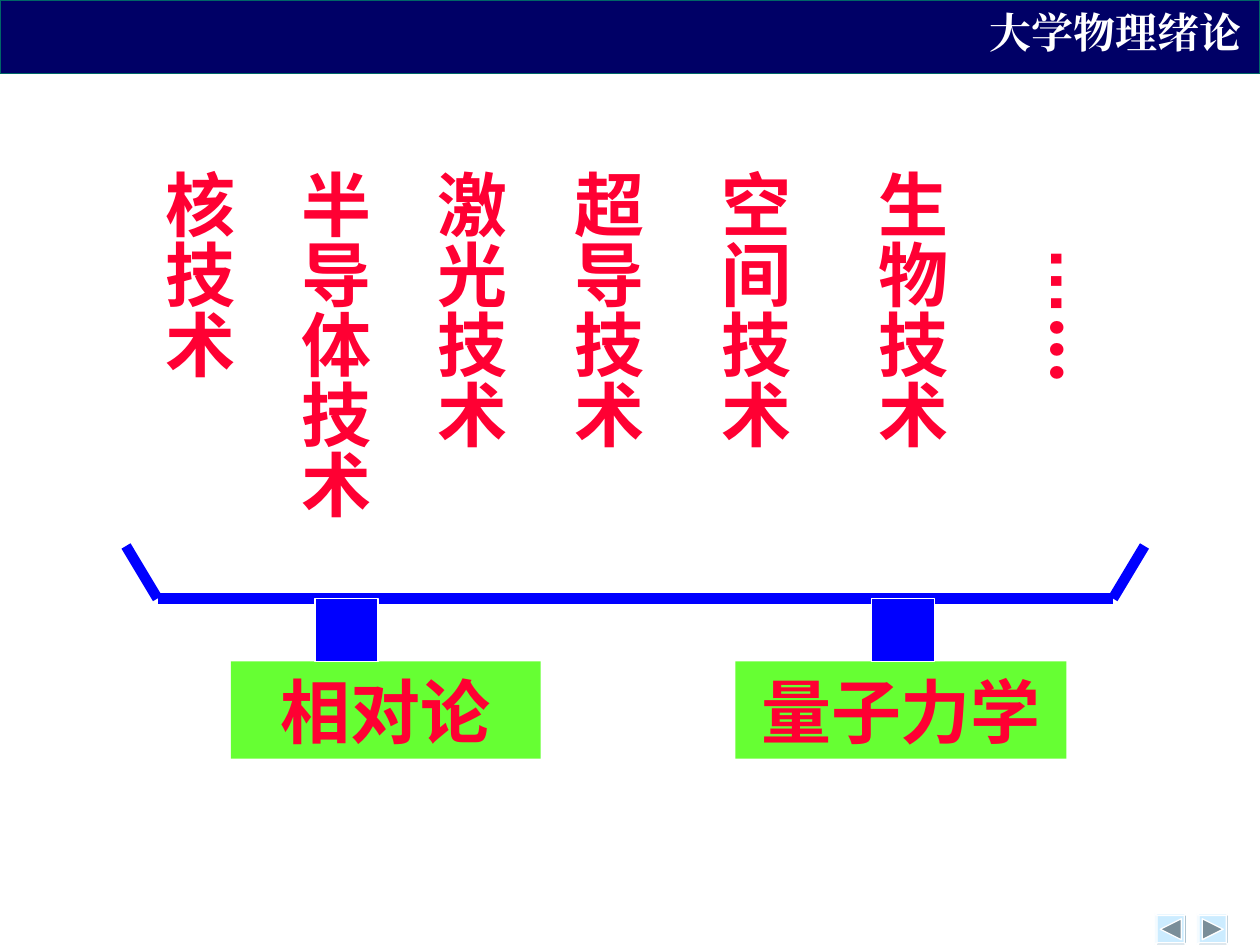
from lxml import etree
from pptx import Presentation
from pptx.dml.color import RGBColor
from pptx.enum.shapes import MSO_CONNECTOR, MSO_SHAPE
from pptx.enum.text import MSO_ANCHOR, MSO_AUTO_SIZE, PP_ALIGN
from pptx.oxml.ns import qn
from pptx.util import Pt

RECTANGLE = MSO_SHAPE.RECTANGLE
STRAIGHT = MSO_CONNECTOR.STRAIGHT
CENTER = PP_ALIGN.CENTER
LEFT = PP_ALIGN.LEFT
MIDDLE = MSO_ANCHOR.MIDDLE
FIT_SHAPE = MSO_AUTO_SIZE.SHAPE_TO_FIT_TEXT

NAVY = RGBColor(0x00, 0x00, 0x66)
TEAL = RGBColor(0x00, 0x66, 0x66)
WHITE = RGBColor(0xFF, 0xFF, 0xFF)
BLUE = RGBColor(0x00, 0x00, 0xFF)
GREEN = RGBColor(0x66, 0xFF, 0x33)
RED = RGBColor(0xFF, 0x00, 0x33)
PALE_BLUE = RGBColor(0xCC, 0xEC, 0xFF)
LIGHT_EDGE = RGBColor(0xE0, 0xF4, 0xFF)
DARK_EDGE = RGBColor(0xA3, 0xBD, 0xCC)
ARROW_GRAY = RGBColor(0x7A, 0x8E, 0x99)

CHINESE_FONT = "Noto Sans CJK SC"
BEAM_Y = 342


class SlideBuilder:
    def __init__(self, slide):
        self.slide = slide
        self.shapes = slide.shapes

    def paint(self, shape, fill, line=None, width=0.75):
        shape.shadow.inherit = False
        shape.fill.solid()
        shape.fill.fore_color.rgb = fill
        if line is None:
            shape.line.fill.background()
        else:
            shape.line.color.rgb = line
            shape.line.width = Pt(width)

    def style(self, font, size, color, name):
        """Set the font for both Latin and East Asian characters."""
        font.size = Pt(size)
        font.bold = True
        font.color.rgb = color
        font.name = name
        latin = font._element.find(qn("a:latin"))
        east_asian = etree.Element(qn("a:ea"), typeface=name)
        latin.addnext(east_asian)

    def rectangle(self, left, top, width, height, fill, line=None, line_width=0.75):
        shape = self.shapes.add_shape(
            RECTANGLE, Pt(left), Pt(top), Pt(width), Pt(height))
        self.paint(shape, fill, line, line_width)
        return shape

    def label(self, left, width, text):
        frame = self.rectangle(left, 378, width, 55.5, GREEN).text_frame
        frame.vertical_anchor = MIDDLE
        paragraph = frame.paragraphs[0]
        paragraph.text = text
        paragraph.alignment = CENTER
        self.style(paragraph.font, 40, RED, CHINESE_FONT)

    def heading(self, left, top, width, height, text):
        frame = self.shapes.add_textbox(
            Pt(left), Pt(top), Pt(width), Pt(height)).text_frame
        frame.word_wrap = True
        paragraph = frame.paragraphs[0]
        paragraph.text = text
        paragraph.alignment = LEFT
        self.style(paragraph.font, 24, WHITE, "Times New Roman")

    def vertical_text(self, left, top, height, runs):
        """Add a top-to-bottom column from (text, font name) pairs."""
        frame = self.shapes.add_textbox(
            Pt(left), Pt(top), Pt(62), Pt(height)).text_frame
        frame.margin_left = frame.margin_right = Pt(3.6)
        frame.margin_top = frame.margin_bottom = Pt(7.2)
        frame.word_wrap = False
        frame.auto_size = FIT_SHAPE
        frame._txBody.bodyPr.set("vert", "eaVert")
        paragraph = frame.paragraphs[0]
        paragraph.alignment = CENTER
        for text, font_name in runs:
            run = paragraph.add_run()
            run.text = text
            self.style(run.font, 40, RED, font_name)

    def line(self, start, end):
        connector = self.shapes.add_connector(
            STRAIGHT, Pt(start[0]), Pt(start[1]), Pt(end[0]), Pt(end[1]))
        connector.line.color.rgb = BLUE
        connector.line.width = Pt(6)
        etree.SubElement(connector._element.spPr, qn("a:effectLst"))

    def polygon(self, points, fill):
        builder = self.shapes.build_freeform(
            Pt(points[0][0]), Pt(points[0][1]))
        builder.add_line_segments([(Pt(x), Pt(y)) for x, y in points[1:]])
        self.paint(builder.convert_to_shape(), fill, WHITE)

    def arrow_button(self, left, top, forward):
        size, bevel, inset = 18, 1.2, 3

        def corners(margin):
            near, far = margin, size - margin
            return [(left + x, top + y) for x, y in
                    ((near, near), (far, near), (far, far), (near, far))]

        outer, inner = corners(0), corners(bevel)
        self.polygon(outer, PALE_BLUE)
        edges = (LIGHT_EDGE, DARK_EDGE, DARK_EDGE, LIGHT_EDGE)
        for i, color in enumerate(edges):
            j = (i + 1) % 4
            self.polygon([outer[i], outer[j], inner[j], inner[i]], color)
        tip, base = (size - inset, inset) if forward else (inset, size - inset)
        self.polygon([(left + base, top + inset),
                      (left + tip, top + size / 2),
                      (left + base, top + size - inset)], ARROW_GRAY)


def main():
    presentation = Presentation()
    presentation.slide_width = Pt(720)
    presentation.slide_height = Pt(540)
    builder = SlideBuilder(
        presentation.slides.add_slide(presentation.slide_layouts[6]))

    builder.rectangle(0, 0, 720, 42, NAVY, TEAL)
    builder.arrow_button(684, 522, forward=True)
    builder.arrow_button(660, 522, forward=False)
    builder.heading(558.5, 0, 161.5, 36, "大学物理绪论")

    builder.label(132, 177, "相对论")
    builder.label(420.25, 189.25, "量子力学")

    left_end, right_end = (90, BEAM_Y), (636, BEAM_Y)
    builder.line(left_end, right_end)
    builder.line(right_end, (654, 312))
    builder.line(left_end, (72, 312))

    technologies = (
        (78.5, "核技术"), (156.5, "半导体技术"), (234.25, "激光技术"),
        (312.25, "超导技术"), (396.25, "空间技术"), (486.25, "生物技术"))
    for left, name in technologies:
        height = 7.5 + 40 * len(name)
        builder.vertical_text(left, 90, height, [(name, CHINESE_FONT)])
    builder.vertical_text(
        582.25, 133.5, 81.5, [("…", "Arial"), ("...", CHINESE_FONT)])

    for left in (180, 498):
        builder.rectangle(left, BEAM_Y, 36, 36, BLUE, WHITE, 1)

    presentation.save("out.pptx")


if __name__ == "__main__":
    main()
